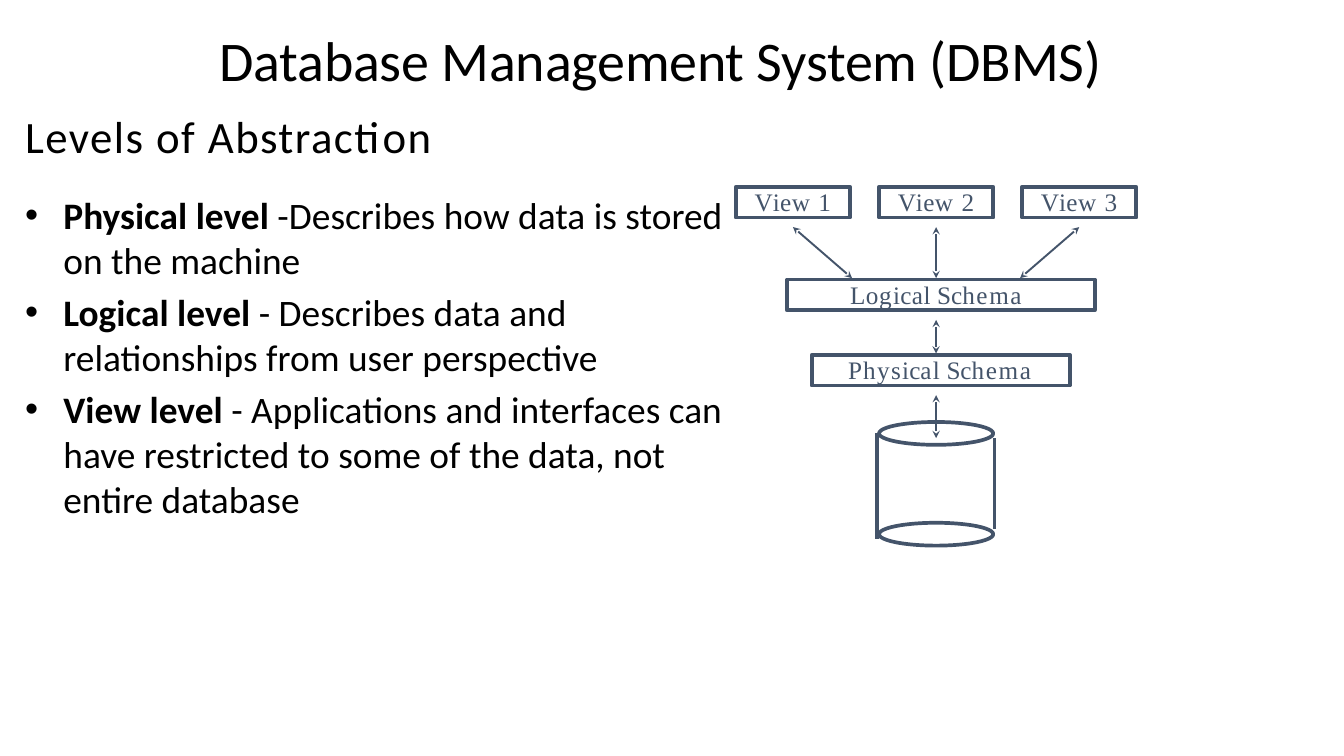
from lxml.etree import SubElement
from pptx import Presentation
from pptx.dml.color import RGBColor
from pptx.enum.shapes import MSO_CONNECTOR, MSO_SHAPE
from pptx.enum.text import MSO_ANCHOR, PP_ALIGN
from pptx.oxml.ns import qn
from pptx.util import Inches, Pt

BLACK = RGBColor(0x00, 0x00, 0x00)
SLATE = RGBColor(0x44, 0x54, 0x6A)

deck = Presentation()
deck.slide_width = Inches(10)
deck.slide_height = deck.slide_width * 9 // 16
slide = deck.slides.add_slide(deck.slide_layouts[6])
shapes = slide.shapes
CELL = deck.slide_width / 100  # square grid, 100 columns wide


def grid(*cells):
    return [round(n * CELL) for n in cells]


def write(para, runs, size, font, color):
    """Add runs of (text, letter spacing in points, bold)."""
    for text, gap, bold in runs:
        run = para.add_run()
        run.text = text
        run.font.size, run.font.name, run.font.bold = Pt(size), font, bold
        run.font.color.rgb = color
        if gap:
            run.font._element.set("spc", str(round(gap * 100)))


# Title, heading and bullet list
title = [[("Database Management System (DBMS)", -0.1, False)]]
head = [[("Levels of Abstraction", 0.8, False)]]
levels = [
    ("Physical level ", "-Describes how data is stored on the machine"),
    ("Logical level ", "- Describes data and relationships from user perspective"),
    ("View level ", "- Applications and interfaces can have restricted to "
                    "some of the data, not entire database"),
]
points = [[(name, 0, True), (note, 0, False)] for name, note in levels]
for place, size, paras in [
    ((13.7, 2.65, 70.9, 3.5), 30, title),
    ((1.87, 8.1, 39.8, 4), 24, head),
    ((1.87, 14.3, 52.4, 24.9), 20, points),
]:
    frame = shapes.add_textbox(*grid(*place)).text_frame
    frame.word_wrap = True
    frame.margin_left = frame.margin_right = frame.margin_top = frame.margin_bottom = 0
    frame.vertical_anchor = MSO_ANCHOR.MIDDLE if paras is title else MSO_ANCHOR.TOP
    for i, runs in enumerate(paras):
        para = frame.paragraphs[0] if i == 0 else frame.add_paragraph()
        para.alignment = PP_ALIGN.CENTER if paras is title else PP_ALIGN.LEFT
        write(para, runs, size, "Calibri", BLACK)
        if paras is points:
            para.space_before = Pt(4)
            props = para._p.get_or_add_pPr()
            indent, hang = grid(2.85, -2.85)
            props.set("marL", str(indent))
            props.set("indent", str(hang))
            SubElement(props, qn("a:buFont"), typeface="Arial")
            SubElement(props, qn("a:buChar"), char="•")

# Schema and view boxes, with the left indent and letter spacing of their labels
MID, STEP, WIDE, TALL = 69.65, 10.65, 8.5, 2.3
boxes = [
    (70, 26.4, 19.2, 2.7, [("P", 0.6), ("hy", 0.8), ("s", 0.6), ("i", 0.1), ("c", -0.1),
                           ("a", 0.7), ("l ", 0.1), ("S", -0.5), ("c", -0.1), ("hema", 0.9)]),
    (70, 20.8, 22.9, 4.7, [("Lo", 0.3), ("g", 0.7), ("ic", 0.2), ("a", 0.3), ("l ", 0.1),
                           ("S", -0.5), ("c", -0.1), ("hema", 0.9)]),
]
for n in (1, 2, 3):
    label = [("V", 0), ("i", 0.2), ("e", 0.3), ("w ", 0.6), (str(n), 0)]
    boxes.append((MID + (n - 2) * STEP, 13.9, WIDE, 1.4, label))

# Drum ends are ovals without a label
for top in (31.4, 38.9):
    boxes.append((MID, top, WIDE, 0, []))

for mid, top, wide, indent, label in boxes:
    kind, tall = (MSO_SHAPE.RECTANGLE, TALL) if label else (MSO_SHAPE.OVAL, 1.7)
    box = shapes.add_shape(kind, *grid(mid - wide / 2, top, wide, tall))
    box.shadow.inherit = False
    box.fill.background()
    box.line.color.rgb, box.line.width = SLATE, Pt(1.98)
    frame = box.text_frame
    frame.margin_left = frame.margin_right = frame.margin_top = frame.margin_bottom = 0
    frame.vertical_anchor = MSO_ANCHOR.TOP
    para = frame.paragraphs[0]
    para.alignment = PP_ALIGN.LEFT
    if label:
        para._p.get_or_add_pPr().set("marL", str(grid(indent)[0]))
    write(para, [(text, gap, False) for text, gap in label],
          13.5, "Times New Roman", SLATE)

# Drum sides and double-headed arrows
lines = [
    (65.25, 32.2, 65.25, 40.1, False),
    (74, 32.6, 74, 39.4, False),
    (59, 16.9, 63.4, 20.7, True),
    (MID, 16.9, MID, 20.7, True),
    (80.3, 16.9, 75.9, 20.7, True),
    (MID, 23.8, MID, 26.3, True),
    (MID, 29.4, MID, 32.6, True),
]
for *ends, arrow in lines:
    link = shapes.add_connector(MSO_CONNECTOR.STRAIGHT, *grid(*ends))
    link.line.color.rgb, link.line.width = SLATE, Pt(1.02 if arrow else 1.98)
    if arrow:
        for end in ("a:headEnd", "a:tailEnd"):
            SubElement(link.line._get_or_add_ln(), qn(end), type="stealth", w="sm", len="sm")
    SubElement(link._element.spPr, qn("a:effectLst"))

deck.save("out.pptx")
